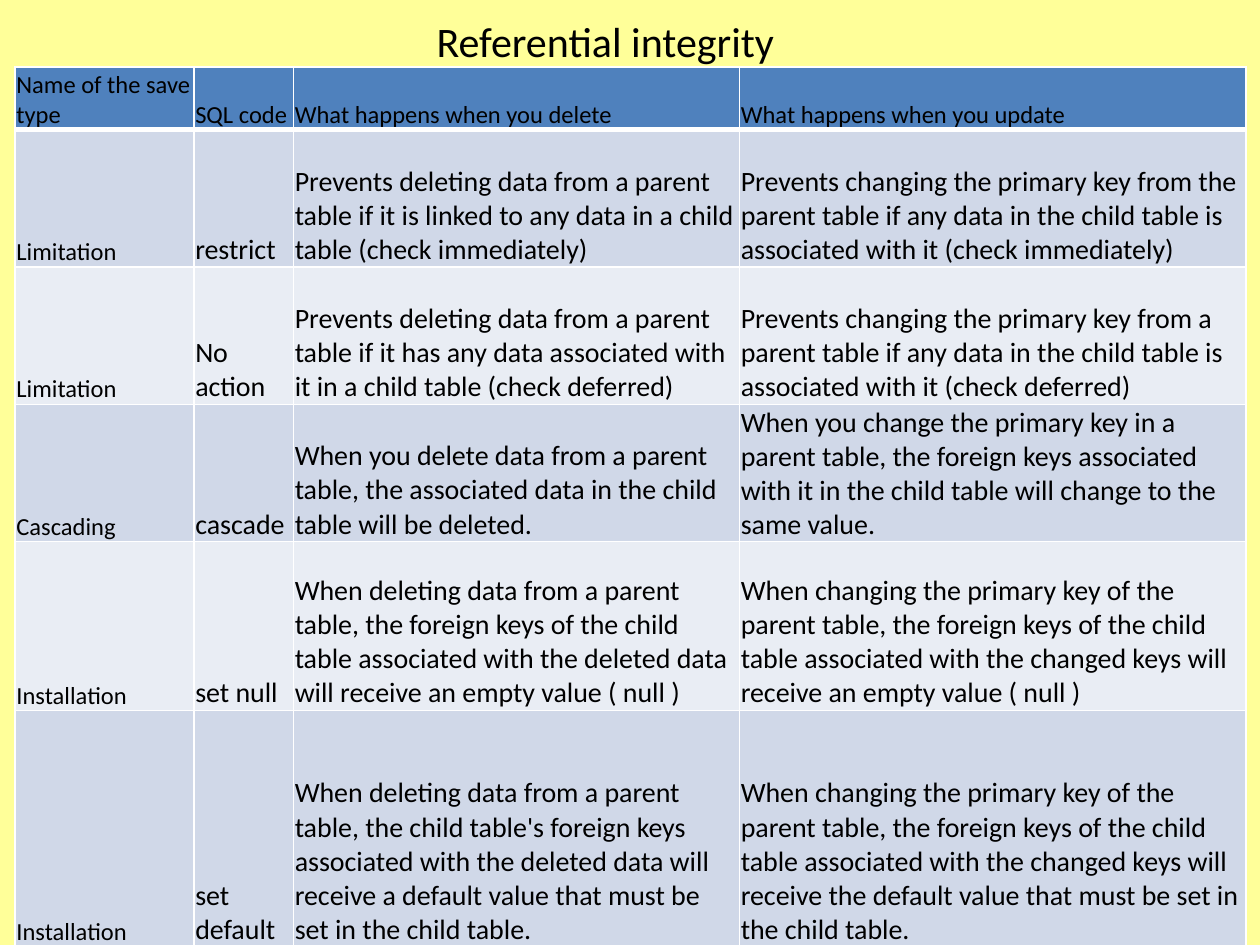
from lxml.etree import SubElement as Sub
from pptx import Presentation
from pptx.dml.color import RGBColor as Rgb
from pptx.enum.text import MSO_ANCHOR as Anchor, PP_ALIGN as Align
from pptx.oxml.ns import qn
from pptx.util import Inches, Pt

HUES = {"page": "FFFF99", "head": "4F81BD", "odd": "D0D8E8",
        "even": "E9EDF4", "rule": "FFFFFF", "ink": "000000"}
COLS = [1.42, 0.79, 3.54, 4.02]
TALL = [0.5, 1.09, 1.09, 1.09, 1.34, 1.88]
ROWS = [
    ("Name of the save type", "SQL code",
     "What happens when you delete", "What happens when you update"),
    ("Limitation", "restrict",
     "Prevents deleting data from a parent table if it is linked to any data "
     "in a child table (check immediately)",
     "Prevents changing the primary key from the parent table if any data in "
     "the child table is associated with it (check immediately)"),
    ("Limitation", "No action",
     "Prevents deleting data from a parent table if it has any data associated "
     "with it in a child table (check deferred)",
     "Prevents changing the primary key from a parent table if any data in the "
     "child table is associated with it (check deferred)"),
    ("Cascading", "cascade",
     "When you delete data from a parent table, the associated data in the "
     "child table will be deleted.",
     "When you change the primary key in a parent table, the foreign keys "
     "associated with it in the child table will change to the same value."),
    ("Installation", "set null",
     "When deleting data from a parent table, the foreign keys of the child "
     "table associated with the deleted data will receive an empty value ( null )",
     "When changing the primary key of the parent table, the foreign keys of "
     "the child table associated with the changed keys will receive an empty "
     "value ( null )"),
    ("Installation", "set default",
     "When deleting data from a parent table, the child table's foreign keys "
     "associated with the deleted data will receive a default value that must "
     "be set in the child table.",
     "When changing the primary key of the parent table, the foreign keys of "
     "the child table associated with the changed keys will receive the default "
     "value that must be set in the child table."),
]


def hue(name):
    """Return the named colour."""
    return Rgb.from_string(HUES[name])


def style(para, size):
    """Set the font of a paragraph."""
    font = para.font
    font.name, font.size = "Calibri", Pt(size)
    font.color.rgb = hue("ink")


def border(cell, side, width):
    """Draw one side of a cell."""
    line = Sub(cell._tc.get_or_add_tcPr(), qn(f"a:ln{side}"), w=str(Pt(width)))
    Sub(Sub(line, qn("a:solidFill")), qn("a:srgbClr"), val=HUES["rule"])


def add_title(slide, left, top, width, height):
    """Place the centred title in its box."""
    box = slide.shapes.add_textbox(
        Inches(left), Inches(top), Inches(width), Inches(height))
    frame = box.text_frame
    frame.word_wrap = True
    frame.vertical_anchor = Anchor.MIDDLE
    frame.text = "Referential integrity"
    para = frame.paragraphs[0]
    para.alignment = Align.CENTER
    style(para, 24)


def fill_cell(cell, text, row, col):
    """Write and style one table cell."""
    cell.text = text
    cell.vertical_anchor = Anchor.BOTTOM
    cell.margin_left = cell.margin_right = cell.margin_top = Inches(0.01)
    cell.margin_bottom = 0
    style(cell.text_frame.paragraphs[0], 14 if row == 0 or col == 0 else 16)
    for side in "LRTB":
        thick = (row, side) in ((0, "B"), (1, "T"))
        border(cell, side, 3 if thick else 1)
    cell.fill.solid()
    band = "odd" if row % 2 else "even"
    cell.fill.fore_color.rgb = hue(band if row else "head")


def add_grid(slide, left, top):
    """Place the table of save types."""
    grid = slide.shapes.add_table(
        len(ROWS), len(COLS), Inches(left), Inches(top),
        Inches(sum(COLS)), Inches(sum(TALL))).table
    for col, width in zip(grid.columns, COLS):
        col.width = Inches(width)
    for row, height in zip(grid.rows, TALL):
        row.height = Inches(height)
    for r, texts in enumerate(ROWS):
        for c, text in enumerate(texts):
            fill_cell(grid.cell(r, c), text, r, c)


def main():
    """Build and save the slide."""
    deck = Presentation()
    deck.slide_width, deck.slide_height = Inches(10), Inches(7.5)
    slide = deck.slides.add_slide(deck.slide_layouts[6])
    back = slide.background.fill
    back.solid()
    back.fore_color.rgb = hue("page")
    add_title(slide, 0.28, 0.13, 9.05, 0.39)
    add_grid(slide, 0.12, 0.53)
    deck.save("out.pptx")


if __name__ == "__main__":
    main()
